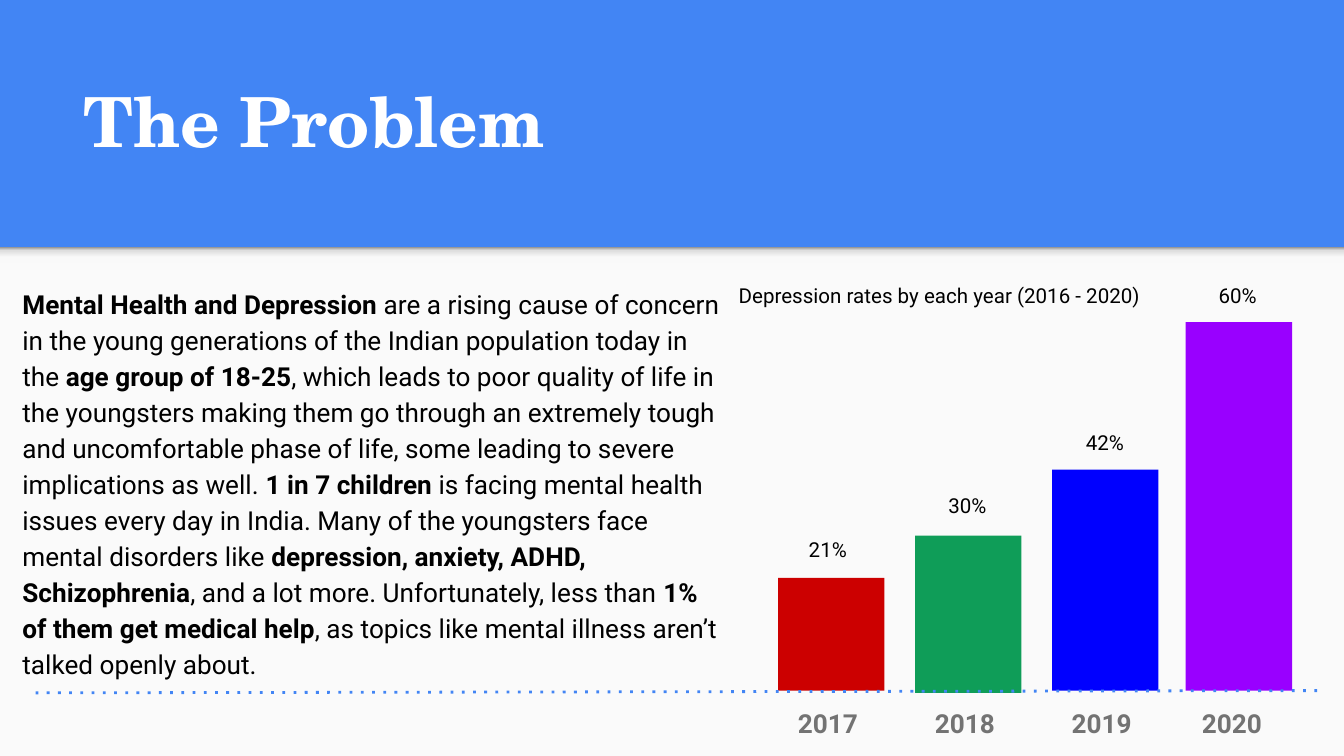
from copy import deepcopy
from dataclasses import dataclass

from lxml.etree import SubElement
from pptx import Presentation
from pptx.dml.color import RGBColor
from pptx.enum.shapes import MSO_CONNECTOR, MSO_SHAPE
from pptx.enum.text import MSO_ANCHOR, PP_ALIGN
from pptx.oxml.ns import qn
from pptx.util import Pt


@dataclass(frozen=True)
class Theme:
    blue: str = "4285F4"
    panel: str = "FAFAFA"
    white: str = "FFFFFF"
    black: str = "000000"
    grey: str = "737373"
    shadow: tuple = ((0, "F9F9F9"), (0.36, "F9F9F9"), (0.8, "DEDEDE"), (1, "999999"))
    bars: tuple = ("CC0000", "0F9D58", "0000FF", "9900FF")
    title_font: str = "TeX Gyre Schola"
    body_font: str = "Roboto"
    title_size: int = 37
    body_size: int = 14
    label_size: int = 11


theme = Theme()


def add_span(para, text, size, color, bold=False, font=theme.body_font):
    span = para.add_run()
    span.text = text
    span.font.name = font
    span.font.size = Pt(size)
    span.font.bold = bold
    span.font.color.rgb = RGBColor.from_string(color)


def add_block(page, left, top, width, height, color=None):
    """Add a rectangle without outline; without a color its fill is left open."""
    block = page.shapes.add_shape(
        MSO_SHAPE.RECTANGLE, Pt(left), Pt(top), Pt(width), Pt(height))
    block.shadow.inherit = False
    block.line.fill.background()
    if color:
        block.fill.solid()
        block.fill.fore_color.rgb = RGBColor.from_string(color)
    return block


deck = Presentation()
deck.slide_width, deck.slide_height = Pt(720), Pt(405)
page = deck.slides.add_slide(deck.slide_layouts[5])
page.background.fill.solid()
page.background.fill.fore_color.rgb = RGBColor.from_string(theme.blue)

# Lower panel with the shade under the header
add_block(page, 0, 132.5, 720, 272.5, theme.panel)
shade = add_block(page, 0, 132.5, 720, 8.6)
shade.fill.gradient()
shade.fill.gradient_angle = 90
stop_list = shade._element.spPr.find(".//" + qn("a:gsLst"))
for _ in range(len(theme.shadow) - 2):
    stop_list.insert(1, deepcopy(stop_list[0]))
for stop, (position, color) in zip(shade.fill.gradient_stops, theme.shadow):
    stop.position = position
    stop.color.rgb = RGBColor.from_string(color)

# Title
title = page.shapes.title
title.left, title.top, title.width, title.height = Pt(37.4), Pt(33.1), Pt(647.3), Pt(60.5)
frame = title.text_frame
frame.margin_left = frame.margin_right = frame.margin_top = frame.margin_bottom = Pt(7.2)
frame.vertical_anchor = MSO_ANCHOR.BOTTOM
frame.paragraphs[0].alignment = PP_ALIGN.LEFT
add_span(frame.paragraphs[0], "The Problem", theme.title_size, theme.white, True,
         theme.title_font)

# Text boxes: left, top, width, height, size, line spacing, (text, bold) runs
story = [
    ("Mental Health and Depression", True),
    (" are a rising cause of concern in the young generations of the Indian "
     "population today in the ", False),
    ("age group of 18-25", True),
    (", which leads to poor quality of life in the youngsters making them go through "
     "an extremely tough and uncomfortable phase of life, some leading to severe "
     "implications as well. ", False),
    ("1 in 7 children", True),
    (" is facing mental health issues every day in India. Many of the youngsters face "
     "mental disorders like ", False),
    ("depression, anxiety, ADHD, Schizophrenia", True),
    (", and a lot more. Unfortunately, less than ", False),
    ("1% of them get medical help", True),
    (", as topics like mental illness aren’t talked openly about.", False),
]
caption = [("Depression rates by each year (2016 - 2020)", False)]
texts = [
    (4.9, 144.7, 392.4, 241.2, theme.body_size, 1.15, story),
    (388.6, 144.7, 231.8, 28.1, theme.label_size, 1, caption),
]

# Bars: left, top, bottom, label left, label top, label
bars = [
    (416.8, 309.6, 370, 426.2, 281.2, "21%"),
    (490.2, 287, 371.2, 501, 257.4, "30%"),
    (563.6, 251.6, 370, 574.6, 223.7, "42%"),
    (635.2, 172.6, 370, 645.8, 144.7, "60%"),
]

# Years below the bars
years = [("2017", 10.7), ("2018", 14.2), ("2019", 17.7), ("2020", 17.7)]
table = page.shapes.add_table(
    1, len(years), Pt(416.8), Pt(370), Pt(279.2), Pt(18.7)).table
table.first_row = table.horz_banding = False
for cell, (year, indent) in zip(table.rows[0].cells, years):
    cell.margin_left = Pt(indent)
    cell.margin_right = cell.margin_top = cell.margin_bottom = Pt(7.2)
    properties = cell._tc.get_or_add_tcPr()
    for side in ("a:lnL", "a:lnR", "a:lnT", "a:lnB"):
        SubElement(SubElement(properties, qn(side)), qn("a:noFill"))
    cell.fill.background()
    para = cell.text_frame.paragraphs[0]
    para.line_spacing = 1.15
    add_span(para, year, theme.body_size, theme.grey, True)

for (left, top, bottom, label_left, label_top, label), color in zip(bars, theme.bars):
    add_block(page, left, top, 57, bottom - top, color)
    texts.append((label_left, label_top, 36, 28.1, theme.label_size, 1, [(label, False)]))

baseline = page.shapes.add_connector(
    MSO_CONNECTOR.STRAIGHT, Pt(705.6), Pt(370), Pt(15.8), Pt(371.2))
baseline.line.color.rgb = RGBColor.from_string(theme.blue)
baseline.line.width = Pt(1.5)
outline = baseline._element.spPr.find(qn("a:ln"))
SubElement(outline, qn("a:prstDash")).set("val", "dot")
SubElement(baseline._element.spPr, qn("a:effectLst"))

for left, top, width, height, size, spacing, runs in texts:
    box = page.shapes.add_textbox(Pt(left), Pt(top), Pt(width), Pt(height))
    frame = box.text_frame
    frame.word_wrap = True
    frame.margin_left = frame.margin_right = frame.margin_top = frame.margin_bottom = Pt(7.2)
    para = frame.paragraphs[0]
    para.line_spacing = spacing
    for text, bold in runs:
        add_span(para, text, size, theme.black, bold)

deck.save("out.pptx")
